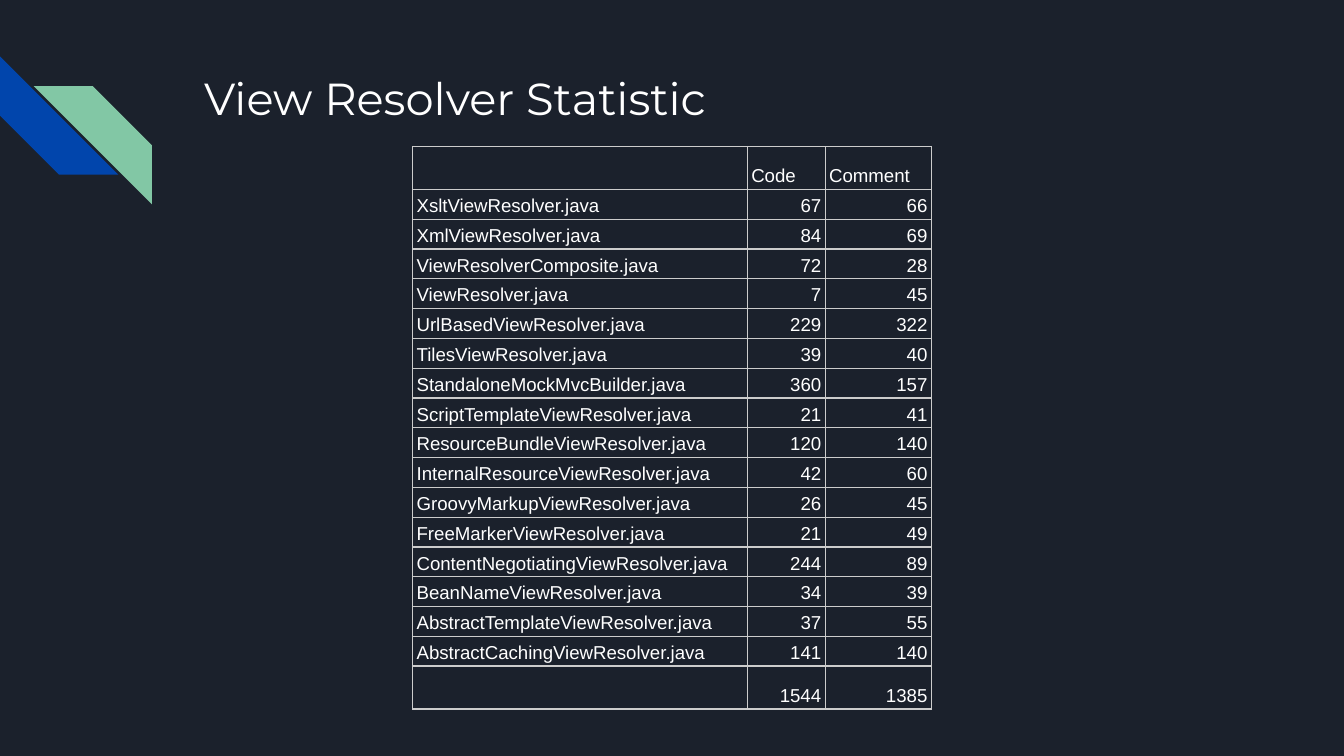
from lxml import etree
from pptx import Presentation
from pptx import util as u
from pptx.dml.color import RGBColor
from pptx.enum import shapes, text
from pptx.oxml import ns

BACKGROUND, WHITE, BORDER = "1B212C", "FFFFFF", "CCCCCC"
BLUE, GREEN = "0145AC", "82C7A5"

STATISTICS = [
    ("", "Code", "Comment"),
    ("XsltViewResolver.java", 67, 66),
    ("XmlViewResolver.java", 84, 69),
    ("ViewResolverComposite.java", 72, 28),
    ("ViewResolver.java", 7, 45),
    ("UrlBasedViewResolver.java", 229, 322),
    ("TilesViewResolver.java", 39, 40),
    ("StandaloneMockMvcBuilder.java", 360, 157),
    ("ScriptTemplateViewResolver.java", 21, 41),
    ("ResourceBundleViewResolver.java", 120, 140),
    ("InternalResourceViewResolver.java", 42, 60),
    ("GroovyMarkupViewResolver.java", 26, 45),
    ("FreeMarkerViewResolver.java", 21, 49),
    ("ContentNegotiatingViewResolver.java", 244, 89),
    ("BeanNameViewResolver.java", 34, 39),
    ("AbstractTemplateViewResolver.java", 37, 55),
    ("AbstractCachingViewResolver.java", 141, 140),
    ("", 1544, 1385),
]


def rgb(value):
    return RGBColor.from_string(value)


class Deck:
    title_font, title_size = "Montserrat", 24
    table_font, table_size = "Arial", 10

    def __init__(self, prs):
        self.s = prs.slides.add_slide(prs.slide_layouts[6])
        fill = self.s.background.fill
        fill.solid()
        fill.fore_color.rgb = rgb(BACKGROUND)

    def format_runs(self, p, font, size):
        for r in p.runs:
            r.font.name = font
            r.font.size = u.Pt(size)
            r.font.bold = False
            r.font.color.rgb = rgb(WHITE)

    def stripe(self, x, y, size, color, rotation=0, flip=False):
        sp = self.s.shapes.add_shape(
            shapes.MSO_SHAPE.DIAGONAL_STRIPE,
            u.Inches(x), u.Inches(y), u.Inches(size), u.Inches(size))
        sp.adjustments[0] = 0.5
        sp.rotation = rotation
        sp.shadow.inherit = False
        sp.fill.solid()
        sp.fill.fore_color.rgb = rgb(color)
        sp.line.fill.background()
        if flip:
            sp._element.spPr.get_or_add_xfrm().set("flipH", "1")

    def title(self, x, y, w, h, words):
        sp = self.s.shapes.add_textbox(
            u.Inches(x), u.Inches(y), u.Inches(w), u.Inches(h))
        tf = sp.text_frame
        tf.word_wrap = True
        tf.margin_left = tf.margin_right = u.Inches(0.1)
        tf.margin_top = tf.margin_bottom = u.Inches(0.1)
        tf.text = words
        self.format_runs(tf.paragraphs[0], self.title_font, self.title_size)

    def borders(self, cell):
        tc_pr = cell._tc.get_or_add_tcPr()
        for side in ("a:lnL", "a:lnR", "a:lnT", "a:lnB"):
            ln = etree.SubElement(tc_pr, ns.qn(side), w=str(u.Pt(0.75)))
            fill = etree.SubElement(ln, ns.qn("a:solidFill"))
            etree.SubElement(fill, ns.qn("a:srgbClr"), val=BORDER)

    def cell(self, cell, value):
        self.borders(cell)
        cell.fill.background()
        cell.vertical_anchor = text.MSO_ANCHOR.BOTTOM
        cell.margin_left = cell.margin_right = u.Inches(0.03)
        cell.margin_top, cell.margin_bottom = u.Inches(0.01), u.Inches(0.02)
        p = cell.text_frame.paragraphs[0]
        p.line_spacing = 1.15
        if value == "":
            etree.SubElement(p._p, ns.qn("a:endParaRPr"),
                             sz=str(self.table_size * 100))
            return
        p.text = str(value)
        if isinstance(value, int):
            p.alignment = text.PP_ALIGN.RIGHT
        self.format_runs(p, self.table_font, self.table_size)

    def table(self, x, y, widths, heights, rows):
        frame = self.s.shapes.add_table(
            len(rows), len(widths), u.Inches(x), u.Inches(y),
            u.Inches(sum(widths)), u.Inches(sum(heights)))
        table = frame.table
        table.first_row = table.horz_banding = False
        for column, width in zip(table.columns, widths):
            column.width = u.Inches(width)
        for row, height, values in zip(table.rows, heights, rows):
            row.height = u.Inches(height)
            for cell, value in zip(row.cells, values):
                self.cell(cell, value)


def main():
    prs = Presentation()
    prs.slide_width = u.Inches(10)
    prs.slide_height = prs.slide_width * 9 // 16
    deck = Deck(prs)
    deck.stripe(0, 0.42, 0.88, BLUE, rotation=270)
    deck.stripe(0.25, 0.64, 0.88, GREEN, flip=True)
    deck.title(1.42, 0.43, 7.7, 1, "View Resolver Statistic")
    heights = [0.32] + [0.22] * (len(STATISTICS) - 2) + [0.32]
    deck.table(3.07, 1.09, [2.49, 0.58, 0.79], heights, STATISTICS)
    prs.save("out.pptx")


if __name__ == "__main__":
    main()
